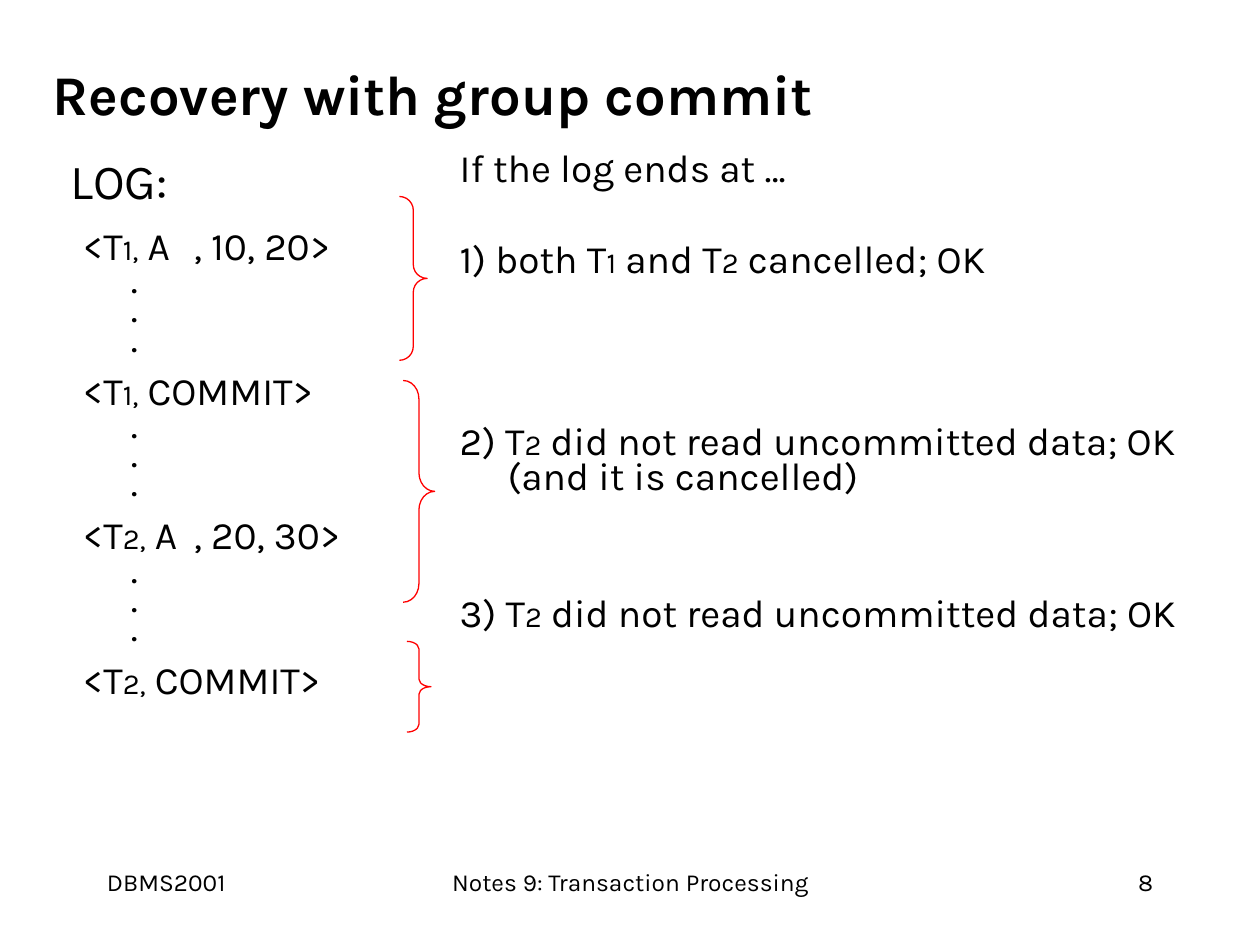
from lxml.etree import SubElement
from pptx import Presentation
from pptx.dml.color import RGBColor
from pptx.enum.shapes import MSO_SHAPE as Shape
from pptx.enum.text import MSO_ANCHOR as Anchor, MSO_AUTO_SIZE as AutoSize, PP_ALIGN as Align
from pptx.oxml.ns import qn
from pptx.util import Inches, Pt

FONT = "Karla"
BLACK, RED = "000000", "FF0000"
BODY, SMALL = 22.2, 16.6

deck = Presentation()
deck.slide_width, deck.slide_height = Inches(10), Inches(7.5)
CELL = deck.slide_width // 100  # the grid has 100 columns and 75 rows
page = deck.slides.add_slide(deck.slide_layouts[5])


def write(box, place, lines, size, anchor=Anchor.TOP, align=Align.LEFT):
    """Place a box on the grid and fill it; text between bars is a small index."""
    box.left, box.top, box.width, box.height = [int(n * CELL) for n in place]
    frame = box.text_frame
    frame.word_wrap, frame.auto_size = True, AutoSize.NONE
    frame.vertical_anchor = anchor
    for number, line in enumerate(lines):
        para = frame.paragraphs[0] if number == 0 else frame.add_paragraph()
        para.alignment = align
        for part, text in enumerate(line.split("|")):
            for row, words in enumerate(text.split("\n")):
                if row:
                    para.add_line_break()
                span = para.add_run()
                span.text = words
                span.font.name = FONT
                span.font.size = Pt(SMALL if part % 2 else size)
                span.font.color.rgb = RGBColor.from_string(BLACK)
    return frame.paragraphs


def hang(para, spacing, before):
    """Give a paragraph a hanging indent, tab stops and line spacing."""
    para.line_spacing, para.space_before = spacing, Pt(before)
    props = para._p.get_or_add_pPr()
    props.set("marL", str(Inches(0.38)))
    props.set("indent", str(-Inches(0.38)))
    stops = SubElement(props, qn("a:tabLst"))
    for inch in range(8):
        SubElement(stops, qn("a:tab"), pos=str(Inches(inch)), algn="l")


# Title
title = write(page.shapes.title, (3.2, 2.4, 67.8, 10),
              ["Recovery with group commit"], 32, Anchor.MIDDLE)
title[0].runs[0].font.bold = True

# Log records, with three dots between one and the next
records = ["<T|1,| A\t, 10, 20>", "<T|1,| COMMIT>", "<T|2,| A\t, 20, 30>", "<T|2,| COMMIT>"]
log_lines = records[:1]
for record in records[1:]:
    log_lines += ["\t."] * 3 + [record]
log_box = page.shapes.add_textbox(0, 0, 0, 0)
for para in write(log_box, (5.6, 17.1, 28.5, 39.9), log_lines, BODY):
    hang(para, 0.4 if para.text == "\t." else 1.0, 6)

heading = page.shapes.add_textbox(0, 0, 0, 0)
write(heading, (4.6, 10.6, 13, 7.4), ["LOG:"], 28, Anchor.MIDDLE)

# Cases, each some lines of 26 pt below the one before
cases = [
    ("If the log ends at …", 0),
    ("1) both T|1| and T|2| cancelled; OK", 1),
    ("2) T|2| did not read uncommitted data; OK\n(and it is cancelled)", 3),
    ("3) T|2| did not read uncommitted data; OK", 2),
]
case_box = page.shapes.add_textbox(0, 0, 0, 0)
paras = write(case_box, (35.5, 11.8, 64.5, 47.1), [text for text, gap in cases], BODY)
for para, (text, gap) in zip(paras, cases):
    hang(para, 0.75, 6 + 26 * gap)

# Braces that tie log ranges to cases
braces = [
    (31.7, 15.6, 2.2, 13, 0.5),
    (32, 30.2, 2.5, 17.6, 0.59),
    (32.3, 50.9, 1.9, 7.2, 0.32),
]
for *place, curve in braces:
    brace = page.shapes.add_shape(Shape.RIGHT_BRACE, *[int(n * CELL) for n in place])
    brace.adjustments[0] = curve
    brace.shadow.inherit = False
    brace.fill.background()
    brace.line.color.rgb = RGBColor.from_string(RED)
    brace.line.width = Pt(0.75)

# Footer
footers = [
    ("Notes 9: Transaction Processing", 34.2, 31.7, Align.CENTER),
    ("8", 71.7, 20.8, Align.RIGHT),
    ("DBMS2001", 7.5, 20.8, Align.LEFT),
]
for text, left, width, align in footers:
    footer = page.shapes.add_textbox(0, 0, 0, 0)
    write(footer, (left, 68.3, width, 5), [text], 14, align=align)

deck.save("out.pptx")
